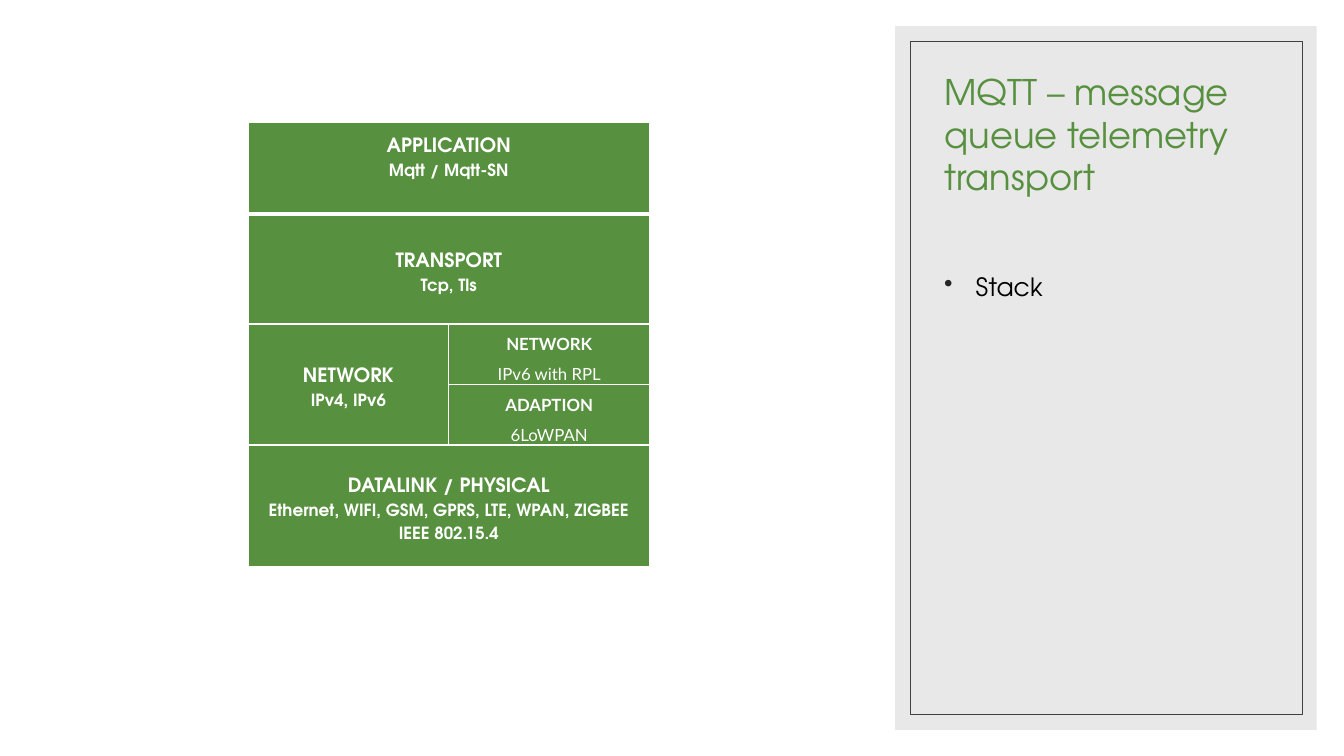
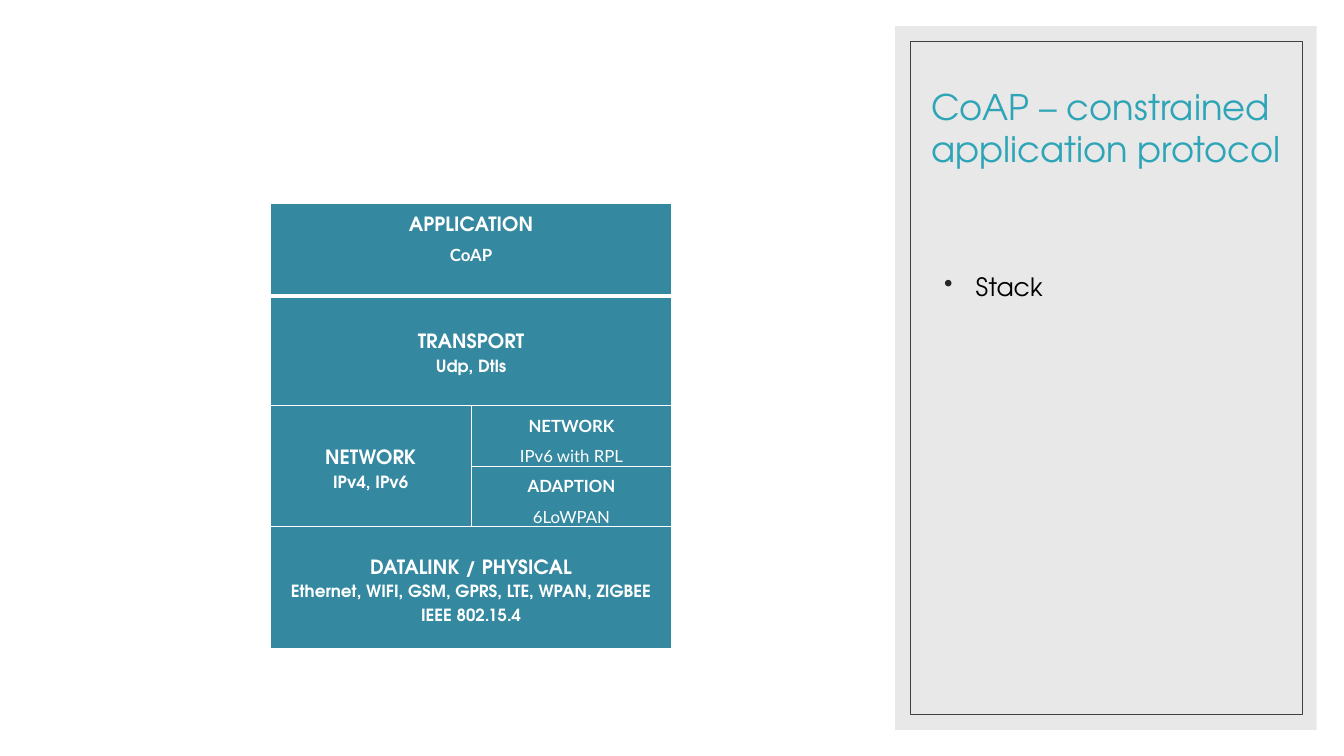
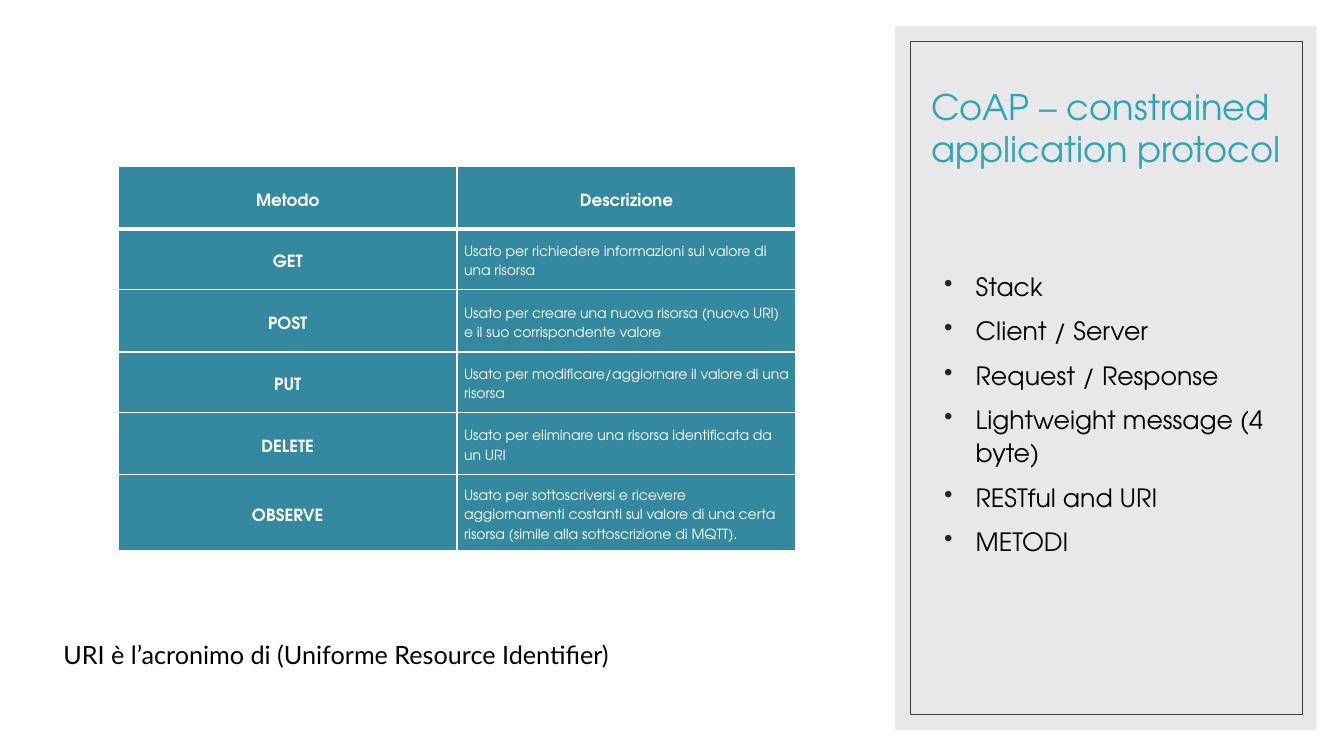
from lxml import etree
from pptx import Presentation
from pptx.dml.color import RGBColor as RGB
from pptx.enum import shapes, text
from pptx.oxml import ns
from pptx.util import Pt

HUE = {"panel": "D9D9D9", "frame": "404040", "bullet": "262626", "ink": "000000",
       "white": "FFFFFF", "green": "57903F", "teal": "3488A0", "aqua": "2EA5B7"}
SANS, LATO = "TeX Gyre Adventor", "Lato"
RECT = shapes.MSO_SHAPE.RECTANGLE
MID, LEFT = text.PP_ALIGN.CENTER, text.PP_ALIGN.LEFT


def write(frame, lines):
    """Fill a text frame; each line is (words, size, font, colour, bold, align, spacing)."""
    frame.word_wrap = True
    for i, (words, size, face, hue, bold, align, gap) in enumerate(lines):
        para = frame.paragraphs[0] if i == 0 else frame.add_paragraph()
        para.text, para.alignment, para.line_spacing = words, align, gap
        font = para.font
        font.size, font.name, font.bold = Pt(size), face, bold
        font.color.rgb = RGB.from_string(HUE[hue])


def style(cell, row, hue, lines):
    """Fill, rule and write one table cell; a thick rule runs under the first row."""
    cell.fill.solid()
    cell.fill.fore_color.rgb = RGB.from_string(HUE[hue])
    cell.vertical_anchor = text.MSO_ANCHOR.MIDDLE
    cell.margin_left = cell.margin_right = Pt(5)
    cell.margin_top = cell.margin_bottom = 0
    props = cell._tc.get_or_add_tcPr()
    wide = {"T": 3 if row == 1 else 1, "B": 3 if row == 0 else 1}
    for i, side in enumerate("LRTB"):
        rule = etree.Element(ns.qn("a:ln" + side), w=str(Pt(wide.get(side, 1))))
        fill = etree.SubElement(rule, ns.qn("a:solidFill"))
        etree.SubElement(fill, ns.qn("a:srgbClr"), val=HUE["white"])
        props.insert(i, rule)
    write(cell.text_frame, [(words, size, face, "white", bold, align, 1.5)
                            for words, size, face, bold, align in lines])


COAP = "CoAP – constrained application protocol"
WIDE = (658, 49.7, 266.4, 74.9)
PAGES = [
    ("MQTT – message queue telemetry transport", "green", (667.4, 47.5, 247.7, 97.2), ["Stack"]),
    (COAP, "aqua", WIDE, ["Stack"]),
    (COAP, "aqua", WIDE, ["Stack", "Client / Server", "Request / Response",
                          "Lightweight message (4 byte)", "RESTful and URI", "METODI"]),
]

deck = Presentation()
deck.slide_width, deck.slide_height = Pt(960), Pt(540)
slides = []
for title, hue, spot, points in PAGES:
    slide = deck.slides.add_slide(deck.slide_layouts[6])
    slides.append(slide)

    panel = slide.shapes.add_shape(RECT, Pt(639.4), Pt(18.7), Pt(301), Pt(502.6))
    panel.shadow.inherit = False
    panel.fill.solid()
    panel.fill.fore_color.rgb = RGB.from_string(HUE["panel"])
    tint = panel.fill._xPr.find(".//" + ns.qn("a:srgbClr"))
    etree.SubElement(tint, ns.qn("a:alpha"), val="60000")
    panel.line.fill.background()

    frame = slide.shapes.add_shape(RECT, Pt(650.2), Pt(29.5), Pt(280), Pt(481))
    frame.shadow.inherit = False
    frame.fill.background()
    frame.line.color.rgb = RGB.from_string(HUE["frame"])
    frame.line.width = Pt(0.5)

    head = slide.shapes.add_textbox(*map(Pt, spot)).text_frame
    head.vertical_anchor = text.MSO_ANCHOR.BOTTOM
    write(head, [(title, 25.2, SANS, hue, False, LEFT, 1.0)])

    body = slide.shapes.add_textbox(Pt(667.4), Pt(188), Pt(247.7), Pt(276.5)).text_frame
    write(body, [(point, 18, SANS, "ink", False, LEFT, 1.1) for point in points])
    for i, para in enumerate(body.paragraphs):
        para.space_before = Pt(8 if i else 0)
        props = para._p.get_or_add_pPr()
        props.set("marL", str(Pt(22.5)))
        props.set("indent", str(-Pt(22.5)))
        dot = etree.Element(ns.qn("a:buClr"))
        etree.SubElement(dot, ns.qn("a:srgbClr"), val=HUE["bullet"])
        mark = etree.Element(ns.qn("a:buChar"), char="•")
        props.find(ns.qn("a:defRPr")).addprevious(dot)
        dot.addnext(mark)

# Protocol stacks: (row, column, last row, last column, layer, detail)
STACKS = [(slides[0], "green", 177.1, 87.1, "Mqtt / Mqtt-SN", SANS, "Tcp, Tls"),
          (slides[1], "teal", 193, 145.4, "CoAP", LATO, "Udp, Dtls")]
for slide, hue, left, top, app, face, carrier in STACKS:
    grid = slide.shapes.add_table(5, 2, Pt(left), Pt(top), Pt(287), Pt(304.6)).table
    for row, high in zip(grid.rows, (62.6, 78.5, 38.2, 38.2, 87.1)):
        row.height = Pt(high)
    layers = [
        (0, 0, 0, 1, "APPLICATION", app),
        (1, 0, 1, 1, "TRANSPORT", carrier),
        (2, 0, 3, 0, "NETWORK", "IPv4, IPv6"),
        (2, 1, 2, 1, "NETWORK", "IPv6 with RPL"),
        (3, 1, 3, 1, "ADAPTION", "6LoWPAN"),
        (4, 0, 4, 1, "DATALINK / PHYSICAL",
         "Ethernet, WIFI, GSM, GPRS, LTE, WPAN, ZIGBEE IEEE 802.15.4"),
    ]
    for row, col, last, end, layer, detail in layers:
        cell = grid.cell(row, col)
        if (row, col) != (last, end):
            cell.merge(grid.cell(last, end))
        if col:
            lines = [(layer, 12, LATO, True, MID), (detail, 12, LATO, False, MID)]
        else:
            lines = [(layer, 14, SANS, True, MID),
                     (detail, 12, SANS if row else face, True, MID)]
        style(cell, row, hue, lines)
    grid.cell(0, 0).margin_bottom = Pt(19)

METHODS = [
    ("Metodo", "Descrizione"),
    ("GET", "Usato per richiedere informazioni sul valore di una risorsa"),
    ("POST", "Usato per creare una nuova risorsa (nuovo URI) e il suo corrispondente valore"),
    ("PUT", "Usato per modificare/aggiornare il valore di una risorsa"),
    ("DELETE", "Usato per eliminare una risorsa identificata da un URI"),
    ("OBSERVE", "Usato per sottoscriversi e ricevere aggiornamenti costanti sul valore "
                "di una certa risorsa (simile alla sottoscrizione di MQTT)."),
]
grid = slides[2].shapes.add_table(6, 2, Pt(84.5), Pt(119), Pt(484), Pt(271.4)).table
for i, (name, about) in enumerate(METHODS):
    grid.rows[i].height = Pt(43.2 if i % 2 else 44.6)
    style(grid.cell(i, 0), i, "teal", [(name, 12, SANS, True, MID)])
    note = (about, 10, SANS, False, LEFT) if i else (about, 12, SANS, True, MID)
    style(grid.cell(i, 1), i, "teal", [note])

foot = slides[2].shapes.add_textbox(Pt(38.2), Pt(453), Pt(468), Pt(29)).text_frame
write(foot, [("URI è l’acronimo di (Uniforme Resource Identifier)",
              18, LATO, "ink", False, LEFT, 1.0)])

deck.save("out.pptx")
